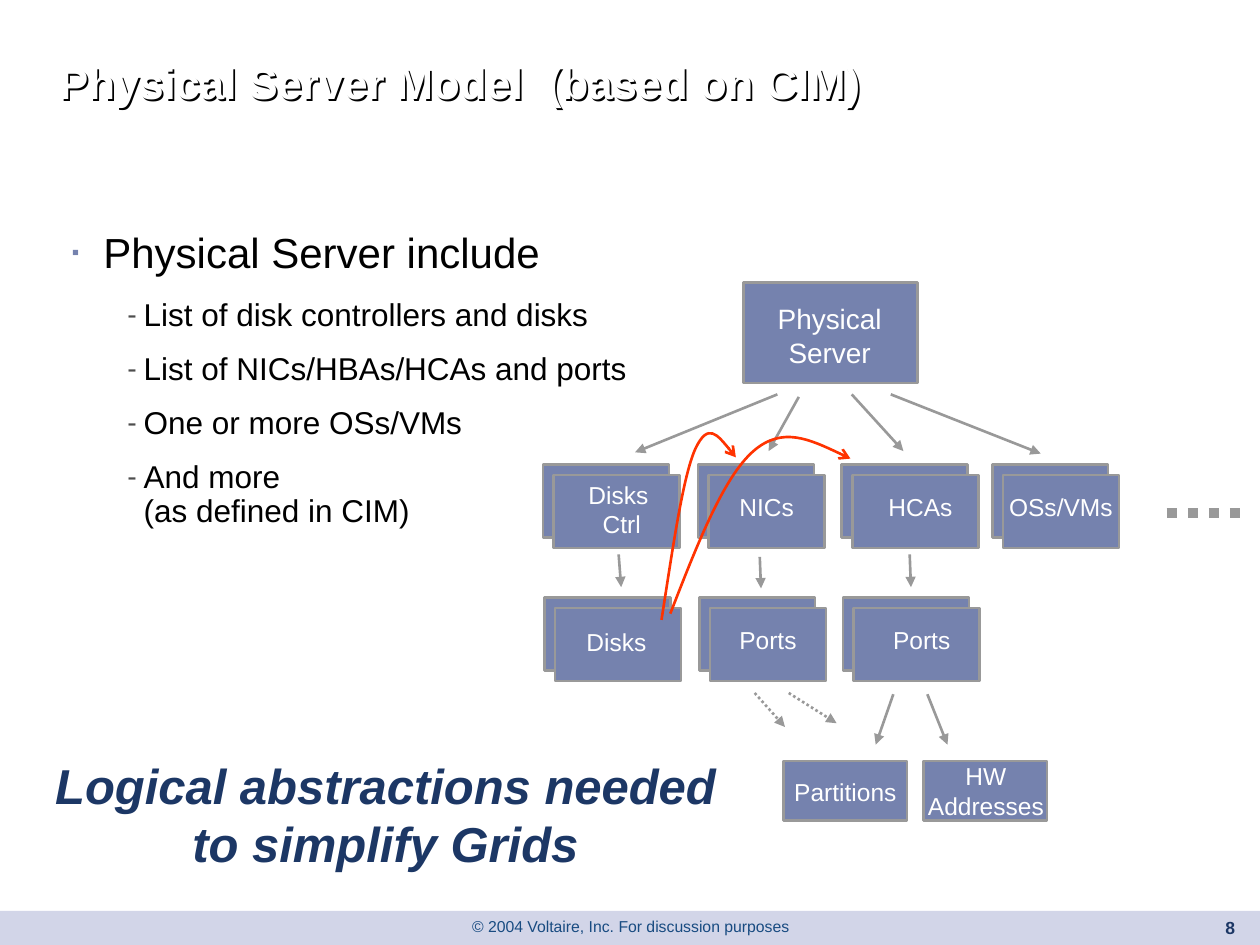
from lxml.etree import SubElement
from pptx import Presentation
from pptx.dml.color import RGBColor
from pptx.enum.dml import MSO_LINE
from pptx.enum.shapes import MSO_CONNECTOR, MSO_SHAPE
from pptx.enum.text import MSO_ANCHOR, MSO_AUTO_SIZE, PP_ALIGN
from pptx.oxml.ns import qn
from pptx.util import Inches, Pt

COLORS = {
    "box": "7582AE", "gray": "999999", "red": "FF3300", "white": "FFFFFF",
    "black": "000000", "navy": "1C3765", "band": "D2D5E8", "footer": "184B81",
    "dash": "4D4D4D",
}
COLUMNS, ROWS = 100, 75


class SlideBuilder:
    """Places styled elements on a grid of 100 columns by 75 rows."""

    font_name = "Arial"

    def __init__(self, presentation):
        presentation.slide_width, presentation.slide_height = Inches(10), Inches(7.5)
        self.column = presentation.slide_width / COLUMNS
        self.row = presentation.slide_height / ROWS
        self.slide = presentation.slides.add_slide(presentation.slide_layouts[1])
        self.shapes = self.slide.shapes

    def point(self, column, row):
        return round(column * self.column), round(row * self.row)

    def area(self, left, top, width, height):
        return *self.point(left, top), *self.point(width, height)

    def color(self, name):
        return RGBColor.from_string(COLORS[name])

    def style(self, paragraph, size, color, bold=False, italic=False):
        font = paragraph.font
        font.name, font.size = self.font_name, Pt(size)
        font.bold, font.italic = bold, italic
        font.color.rgb = self.color(color)

    def move(self, placeholder, area, anchor):
        placeholder.left, placeholder.top, placeholder.width, placeholder.height = self.area(*area)
        frame = placeholder.text_frame
        frame.auto_size, frame.vertical_anchor = MSO_AUTO_SIZE.NONE, anchor
        return frame

    def title(self, text, area):
        shape = self.shapes.title
        frame = self.move(shape, area, MSO_ANCHOR.MIDDLE)
        frame.text = text
        paragraph = frame.paragraphs[0]
        paragraph.alignment, paragraph.line_spacing = PP_ALIGN.LEFT, 0.9
        self.style(paragraph, 25, "white", bold=True)
        # An unfilled shape casts its shadow from the white letters
        shape.fill.background()
        effects = SubElement(shape._element.spPr, qn("a:effectLst"))
        shadow = SubElement(effects, qn("a:outerShdw"), blurRad="0", dist="17961",
                            dir="2700000", algn="ctr", rotWithShape="0")
        SubElement(shadow, qn("a:srgbClr"), val=COLORS["black"])

    def bullet(self, paragraph, character, color, percent, margin, indent):
        properties = paragraph._p.get_or_add_pPr()
        properties.set("marL", str(Inches(margin)))
        properties.set("indent", str(Inches(indent)))
        bullet_color = SubElement(properties, qn("a:buClr"))
        SubElement(bullet_color, qn("a:srgbClr"), val=COLORS[color])
        SubElement(properties, qn("a:buSzPct"), val=str(percent * 1000))
        SubElement(properties, qn("a:buFont"), typeface=self.font_name)
        SubElement(properties, qn("a:buChar"), char=character)

    def bullet_list(self, heading, items, area):
        frame = self.move(self.slide.placeholders[1], area, MSO_ANCHOR.TOP)
        for index, text in enumerate([heading, *items]):
            paragraph = frame.paragraphs[0] if index == 0 else frame.add_paragraph()
            paragraph.text = text
            if index == 0:
                self.bullet(paragraph, "▪", "box", 50, 0.25, -0.25)
                size, before, after = 24, 0, 6
            else:
                paragraph.level = 1
                self.bullet(paragraph, "-", "dash", 90, 0.57, -0.13)
                size, before, after = 18, 6.8, 4.5
            paragraph.line_spacing = 0.9
            paragraph.space_before, paragraph.space_after = Pt(before), Pt(after)
            self.style(paragraph, size, "black")

    def box(self, area, fill="box", line="gray"):
        shape = self.shapes.add_shape(MSO_SHAPE.RECTANGLE, *self.area(*area))
        shape.shadow.inherit = False
        shape.fill.solid()
        shape.fill.fore_color.rgb = self.color(fill)
        if line:
            shape.line.color.rgb = self.color(line)
            shape.line.width = Pt(1.5)
        else:
            shape.line.fill.background()

    def text(self, text, area, size=14, color="white", align=PP_ALIGN.CENTER, **emphasis):
        frame = self.shapes.add_textbox(*self.area(*area)).text_frame
        frame.word_wrap, frame.vertical_anchor = True, MSO_ANCHOR.MIDDLE
        frame.text = text
        paragraph = frame.paragraphs[0]
        paragraph.alignment = align
        self.style(paragraph, size, color, **emphasis)

    def stack(self, label, left, top, width, shift=(0, 0)):
        """Two overlapping boxes with a label on the front one."""
        offset, height = 0.85, 5.8
        self.box((left, top, width, height))
        self.box((left + offset, top + offset, width, height))
        label_height = 5.7 if "\v" in label else 3.4
        label_left = left + offset + width - 10 + shift[0]
        label_top = top + offset + (height - label_height) / 2 - 0.4 + shift[1]
        self.text(label, (label_left, label_top, 10.8, label_height))

    def outline(self, shape, color, width, arrowhead, dash=None):
        shape.line.color.rgb = self.color(color)
        shape.line.width = Pt(width)
        if dash:
            shape.line.dash_style = dash
        if arrowhead:
            SubElement(shape.line._get_or_add_ln(), qn("a:tailEnd"), type=arrowhead)

    def arrow(self, start, end, width=1.5, arrowhead="triangle", dash=None):
        connector = self.shapes.add_connector(
            MSO_CONNECTOR.STRAIGHT, *self.point(*start), *self.point(*end))
        self.outline(connector, "gray", width, arrowhead, dash)
        SubElement(connector._element.spPr, qn("a:effectLst"))

    def curve(self, start, *controls):
        """A curved arrow; every three points make one Bézier segment."""
        builder = self.shapes.build_freeform(*self.point(*start))
        builder.add_line_segments([self.point(*control) for control in controls], close=False)
        shape = builder.convert_to_shape()
        lines = list(shape._element.iter(qn("a:lnTo")))
        outline_path = lines[0].getparent()
        for first in range(0, len(lines), 3):
            segment = SubElement(outline_path, qn("a:cubicBezTo"))
            for line in lines[first:first + 3]:
                segment.append(line[0])
                outline_path.remove(line)
        shape.shadow.inherit = False
        shape.fill.background()
        self.outline(shape, "red", 1.5, "arrow")


def main():
    presentation = Presentation()
    builder = SlideBuilder(presentation)

    # Footer band
    builder.box((0, 72.3, 100, 2.7), fill="band", line=None)
    builder.text("© 2004 Voltaire, Inc. For discussion purposes", (30, 72.2, 40.1, 2.6), 9, "footer")
    builder.text("8", (94.5, 72.3, 4.5, 2.7), 10, "navy", PP_ALIGN.RIGHT, bold=True)

    # Title and list
    builder.title("Physical Server Model  (based on CIM)", (3.7, 2.8, 85.2, 8))
    builder.bullet_list("Physical Server include", [
        "List of disk controllers and disks",
        "List of NICs/HBAs/HCAs and ports",
        "One or more OSs/VMs",
        "And more\v(as defined in CIM)",
    ], (4.7, 17.9, 50.6, 51.5))

    # Server and its component stacks
    builder.box((59, 22.4, 13.8, 8))
    builder.text("Physical Server", (58, 23.4, 15.7, 6.4), 16)
    for label, left, top, width, *shift in [
        ("HCAs", 66.8, 36.85, 10), ("OSs/VMs", 78.75, 36.85, 9.2),
        ("Disks \vCtrl", 43.1, 36.85, 10, (0, 0.2)), ("NICs", 55.4, 36.85, 9.2),
        ("Ports", 66.9, 47.4, 10), ("Disks ", 43.2, 47.4, 10, (-0.25, 0.2)),
        ("Ports", 55.5, 47.4, 9.2),
    ]:
        builder.stack(label, left, top, width, *shift)

    # Further components
    builder.arrow((92.6, 40.7), (98.4, 40.7), 6, None, MSO_LINE.ROUND_DOT)

    # Arrows between levels
    for start, end in [
        ((60.3, 44.2), (60.4, 46.7)), ((49.1, 44), (49.3, 46.6)), ((72.2, 44), (72.3, 46.6)),
        ((61.7, 31.3), (50.4, 35.9)), ((63.4, 31.5), (61, 35.8)),
        ((67.6, 31.3), (71.7, 35.8)), ((70.7, 31.3), (82.6, 36)),
        ((70.9, 55.1), (69.5, 59.1)), ((73.6, 55.1), (75.2, 59.1)),
    ]:
        builder.arrow(start, end)
    for start, end in [((59.9, 55), (62.3, 57.7)), ((62.6, 55), (66.4, 57.4))]:
        builder.arrow(start, end, dash=MSO_LINE.ROUND_DOT)

    # Links from disks to adapters
    builder.curve((52.5, 49.2), (53.4, 43.5), (54.2, 37.8), (55.2, 35.6),
                  (56.2, 33.5), (57.3, 34.9), (58.4, 36.3))
    builder.curve((53.2, 48.7), (55.3, 43.3), (57.4, 37.9), (59.8, 35.8),
                  (62.1, 33.8), (64.8, 35.1), (67.5, 36.4))

    # Port details
    for left in (62.2, 73.3):
        builder.box((left, 60.4, 9.8, 4.7))
    builder.text("Partitions", (61.7, 61.1, 10.8, 3.4))
    builder.text("HW Addresses", (72.3, 59.9, 11.9, 5.7))

    # Conclusion
    builder.text("Logical abstractions needed to simplify Grids", (3.3, 59.4, 54.6, 10.4),
                 28, "navy", bold=True, italic=True)

    presentation.save("out.pptx")


if __name__ == "__main__":
    main()
